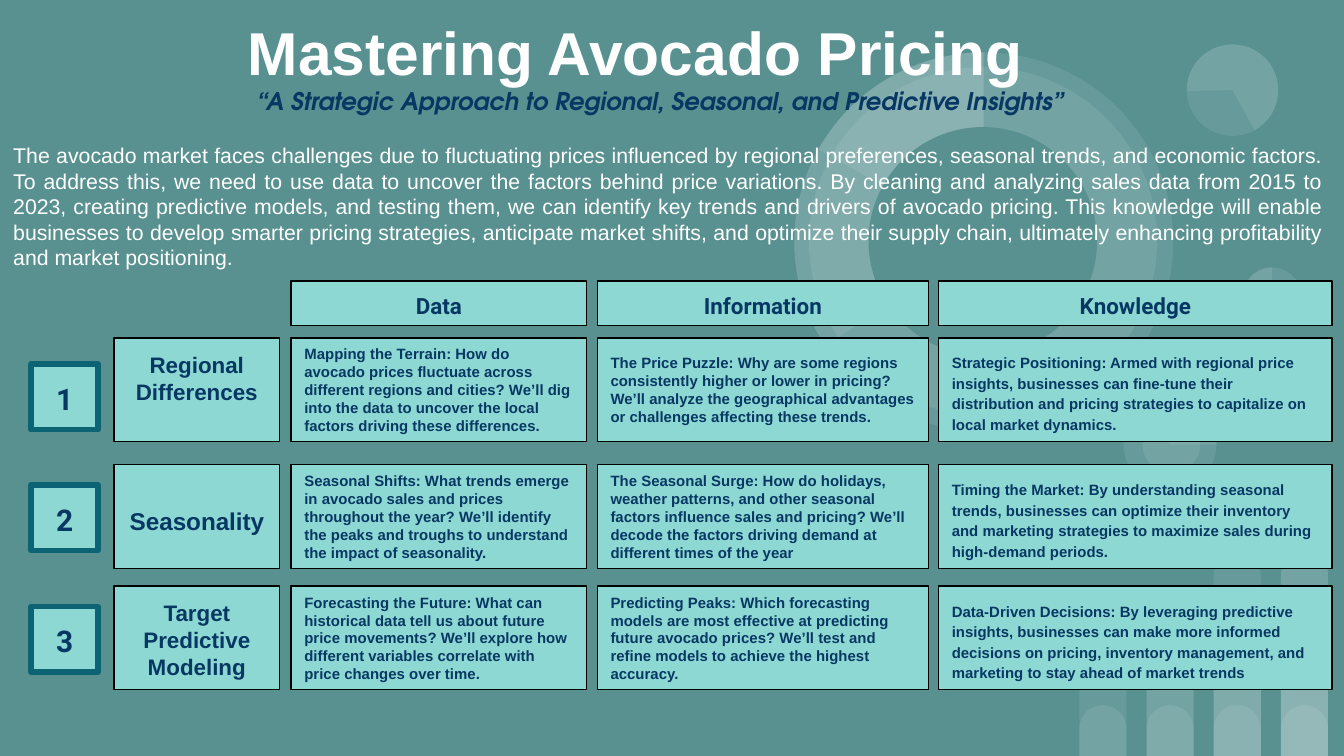
from lxml import etree
from pptx import Presentation
from pptx import util as u
from pptx.dml import color
from pptx.enum import shapes, text
from pptx.oxml import ns

BACKGROUND, PANEL, NAVY, TEAL = "599191", "8DD8D3", "073763", "0B6374"
WHITE, BLACK = "FFFFFF", "000000"
SHAPE, ALIGN, ANCHOR = shapes.MSO_SHAPE, text.PP_ALIGN, text.MSO_ANCHOR


def rgb(value):
    return color.RGBColor.from_string(value)


class SlideBuilder:
    font = "Arial"
    inset = 7.2
    veil = 9  # opacity of the background motif, percent

    def __init__(self, slide):
        self.slide = slide
        slide.background.fill.solid()
        slide.background.fill.fore_color.rgb = rgb(BACKGROUND)

    def set_text(self, shape, paragraphs, size, ink=NAVY, font=None, align=ALIGN.LEFT,
                 anchor=ANCHOR.TOP, bold=True, italic=False, spacing=1.0,
                 left_inset=inset, top_inset=inset):
        frame = shape.text_frame
        frame.word_wrap = True
        frame.auto_size = text.MSO_AUTO_SIZE.NONE
        frame.vertical_anchor = anchor
        frame.margin_left, frame.margin_top = u.Pt(left_inset), u.Pt(top_inset)
        frame.margin_right = frame.margin_bottom = u.Pt(self.inset)
        for index, words in enumerate(paragraphs):
            paragraph = frame.paragraphs[0] if index == 0 else frame.add_paragraph()
            paragraph.alignment = align
            paragraph.line_spacing = spacing
            run = paragraph.add_run()
            run.text = words
            run.font.name = font or self.font
            run.font.size = u.Pt(size)
            run.font.bold, run.font.italic = bold, italic
            run.font.color.rgb = rgb(ink)

    def title(self, box, words, **style):
        shape = self.slide.shapes.title
        shape.left, shape.top, shape.width, shape.height = map(u.Pt, box)
        self.set_text(shape, [words], **style)

    def text_box(self, box, words, **style):
        self.set_text(self.slide.shapes.add_textbox(*map(u.Pt, box)), [words], **style)

    def shape(self, kind, box, fill, adjustments=(), rotation=0):
        shape = self.slide.shapes.add_shape(kind, *map(u.Pt, box))
        shape.shadow.inherit = False
        shape.fill.solid()
        shape.fill.fore_color.rgb = rgb(fill)
        shape.line.fill.background()
        shape.rotation = rotation
        for index, value in enumerate(adjustments):
            shape.adjustments[index] = value
        return shape

    def motif(self, kind, box, adjustments=(), rotation=0):
        shape = self.shape(kind, box, WHITE, adjustments, rotation)
        tint = next(shape.element.spPr.iter(ns.qn("a:srgbClr")))
        etree.SubElement(tint, ns.qn("a:alpha")).set("val", str(self.veil * 1000))

    def panel(self, box, paragraphs, border=BLACK, border_width=0.75, **style):
        shape = self.shape(SHAPE.RECTANGLE, box, PANEL)
        shape.line.color.rgb = rgb(border)
        shape.line.width = u.Pt(border_width)
        self.set_text(shape, paragraphs, **style)


presentation = Presentation()
presentation.slide_width, presentation.slide_height = u.Pt(720), u.Pt(405)
builder = SlideBuilder(presentation.slides.add_slide(presentation.slide_layouts[5]))

# Background bars: each column stacks one more layer than the last
for column in range(4):
    for level in range(1, column + 3):
        height = 27.2 * level
        builder.motif(SHAPE.ROUND_2_SAME_RECTANGLE,
                      (578.2 + 36 * column, 405 - height, 25.2, height), (0.5, 0))

# Background circles: left, top, diameter, rotation, pie angles
circles = [
    (666, 143.3, 31, 0, [(193.77, 162)]),
    (601.9, 213.1, 49.7, 90, [(82.45, 162.46)]),
    (612, 222.5, 31, 90, []),
    (635.8, 23.8, 49, 215.9, [(193.77, 123.14)]),
    (433.4, 36, 186.5, 34.1, []),
    (425.5, 28.1, 203, 0, [(88.01, 162), (125.54, 162)]),
]
for left, top, diameter, rotation, pies in circles:
    box = (left, top, diameter, diameter)
    builder.motif(SHAPE.OVAL, box, rotation=rotation)
    for angles in pies:
        builder.motif(SHAPE.PIE, box, angles, rotation)
builder.shape(SHAPE.OVAL, (465.3, 68.1, 122.4, 122.4), BACKGROUND)

# Heading and introduction
builder.title((45.4, 0, 674, 54.7), "Mastering Avocado Pricing", size=32.4, ink=WHITE,
              anchor=ANCHOR.MIDDLE, left_inset=87.4)
builder.text_box((130.3, 38.9, 520, 30.2),
                 "“A Strategic Approach to Regional, Seasonal, and Predictive Insights”",
                 size=13, font="TeX Gyre Adventor", italic=True)
builder.text_box(
    (0, 69.1, 716.4, 54.7),
    "The avocado market faces challenges due to fluctuating prices influenced by regional "
    "preferences, seasonal trends, and economic factors. To address this, we need to use data "
    "to uncover the factors behind price variations. By cleaning and analyzing sales data from "
    "2015 to 2023, creating predictive models, and testing them, we can identify key trends and "
    "drivers of avocado pricing. This knowledge will enable businesses to develop smarter "
    "pricing strategies, anticipate market shifts, and optimize their supply chain, ultimately "
    "enhancing profitability and market positioning.",
    size=11.4, ink=WHITE, bold=False, align=ALIGN.JUSTIFY)

# Column headers: name, left, width, cell style
columns = [
    ("Data", 156, 158.4, {"anchor": ANCHOR.MIDDLE}),
    ("Information", 320, 177.5, {"anchor": ANCHOR.MIDDLE}),
    ("Knowledge", 502.8, 210.8, {"spacing": 1.15}),
]
for name, left, width, _ in columns:
    builder.panel((left, 150.5, width, 23.8), [name], size=12, font="Roboto",
                  align=ALIGN.CENTER, anchor=ANCHOR.MIDDLE, spacing=1.15)

# Rows: top, number top, label lines, label style, cells
rows = [
    (181, 195.1, ["Regional", "Differences"], {"size": 12}, [
        "Mapping the Terrain: How do avocado prices fluctuate across different regions and "
        "cities? We’ll dig into the data to uncover the local factors driving these differences.",
        "The Price Puzzle: Why are some regions consistently higher or lower in pricing? We’ll "
        "analyze the geographical advantages or challenges affecting these trends.",
        "Strategic Positioning: Armed with regional price insights, businesses can fine-tune "
        "their distribution and pricing strategies to capitalize on local market dynamics."]),
    (248.9, 259.9, ["Seasonality"], {"size": 13, "top_inset": 22.2}, [
        "Seasonal Shifts: What trends emerge in avocado sales and prices throughout the year? "
        "We’ll identify the peaks and troughs to understand the impact of seasonality.",
        "The Seasonal Surge: How do holidays, weather patterns, and other seasonal factors "
        "influence sales and pricing? We’ll decode the factors driving demand at different "
        "times of the year",
        "Timing the Market: By understanding seasonal trends, businesses can optimize their "
        "inventory and marketing strategies to maximize sales during high-demand periods."]),
    (314, 325, ["Target", "Predictive", "Modeling"], {"size": 12}, [
        "Forecasting the Future: What can historical data tell us about future price movements? "
        "We’ll explore how different variables correlate with price changes over time.",
        "Predicting Peaks: Which forecasting models are most effective at predicting future "
        "avocado prices? We’ll test and refine models to achieve the highest accuracy.",
        "Data-Driven Decisions: By leveraging predictive insights, businesses can make more "
        "informed decisions on pricing, inventory management, and marketing to stay ahead of "
        "market trends"]),
]
for number, (top, number_top, label, label_style, cells) in enumerate(rows, 1):
    builder.panel((16.6, number_top, 36, 35), [str(number)], TEAL, 3, size=16,
                  font="Roboto", align=ALIGN.CENTER, anchor=ANCHOR.BOTTOM)
    builder.panel((61.2, top, 88.6, 55.6), label, align=ALIGN.CENTER, **label_style)
    for (_, left, width, cell_style), words in zip(columns, cells):
        builder.panel((left, top, width, 55.6), [words], size=8, **cell_style)

presentation.save("out.pptx")
